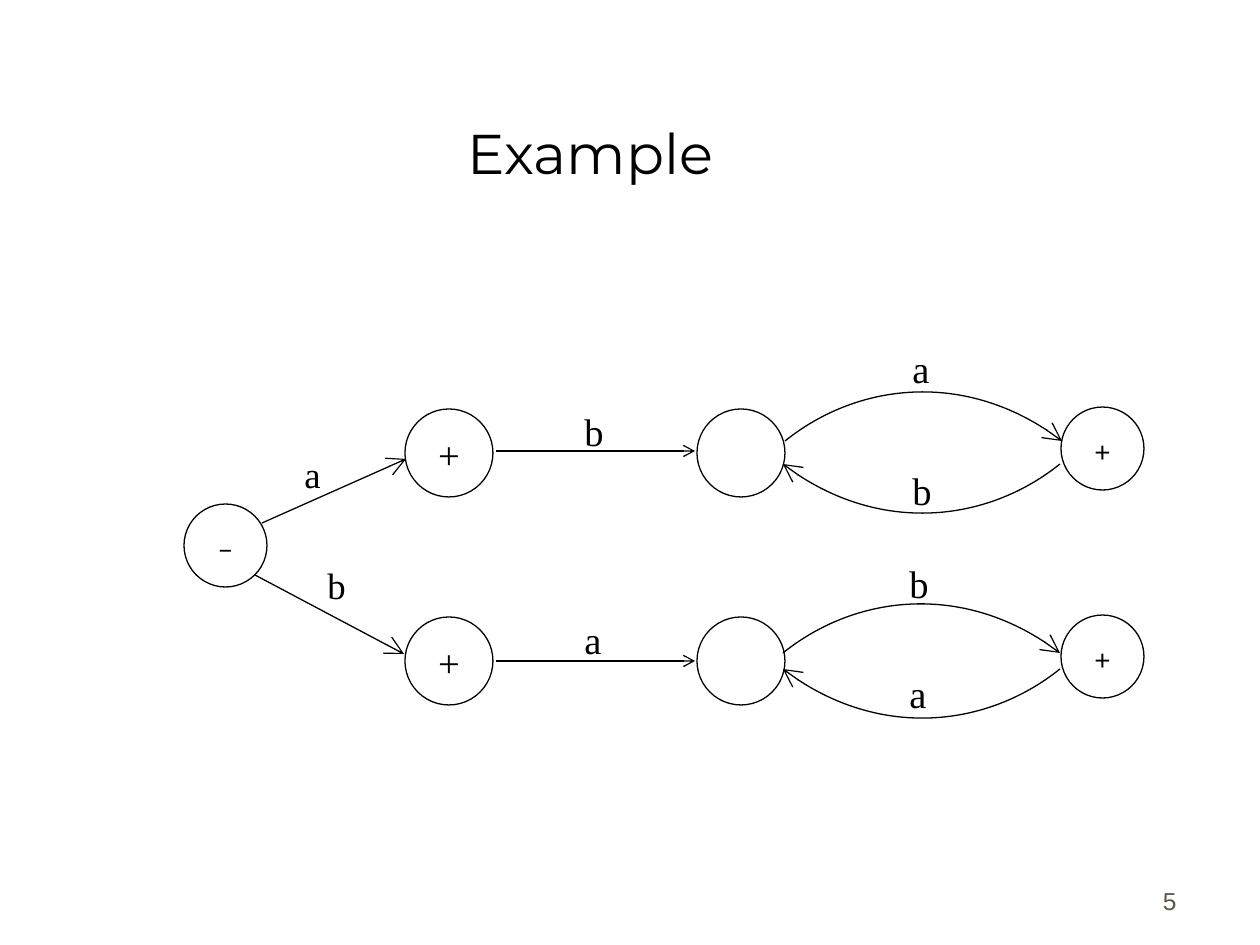
from lxml import etree
from pptx import Presentation
from pptx import util as u
from pptx.dml.color import RGBColor
from pptx.enum import shapes, text
from pptx.oxml.ns import qn

PX = 914400 / 126
BLACK = RGBColor(0x00, 0x00, 0x00)
WHITE = RGBColor(0xFF, 0xFF, 0xFF)
GREY = RGBColor(0x5E, 0x57, 0x4E)
SERIF, SANS = "Times New Roman", "Lato"
SMALL, LARGE = 83, 88  # circle diameters
LABEL_SIZE = 22

# Offsets are measured from the top left corner of the branch.
BRANCHES = [
    {"origin": (405, 409), "link": ("b", 42), "forth": (380, 32), "back": 55,
     "forth_label": ("a", 495, -70), "back_label": ("b", 495, 52)},
    {"origin": (405, 617), "link": ("a", 44), "forth": (378, 36), "back": 52,
     "forth_label": ("b", 492, -63), "back_label": ("a", 492, 47)},
]


def px(value):
    return u.Emu(round(value * PX))


def write(frame, words, size, font, color=BLACK, align=text.PP_ALIGN.LEFT):
    para = frame.paragraphs[0]
    para.alignment = align
    span = para.add_run()
    span.text = words
    span.font.size = u.Pt(size)
    span.font.name = font
    span.font.color.rgb = color


def add_text(page, box, words, size, font, color=BLACK,
             align=text.PP_ALIGN.LEFT, anchor=text.MSO_ANCHOR.TOP, inset=6):
    frame = page.shapes.add_textbox(*map(px, box)).text_frame
    frame.word_wrap = True
    frame.vertical_anchor = anchor
    frame.margin_top = frame.margin_bottom = px(inset)
    write(frame, words, size, font, color, align)


def add_label(page, left, top, words, size=LABEL_SIZE):
    add_text(page, (left, top, 90, 63), words, size, SERIF)


def add_state(page, left, top, diameter, sign="", size=16, font=SANS, drop=6):
    """Draw a circle; drop is the top inset that lowers its sign."""
    state = page.shapes.add_shape(shapes.MSO_SHAPE.OVAL, px(left), px(top),
                                  px(diameter), px(diameter))
    state.shadow.inherit = False
    state.fill.solid()
    state.fill.fore_color.rgb = WHITE
    state.line.color.rgb = BLACK
    state.line.width = u.Pt(0.75)
    if sign:
        frame = state.text_frame
        frame.margin_left = frame.margin_right = frame.margin_bottom = 0
        frame.margin_top = px(drop)
        frame.vertical_anchor = text.MSO_ANCHOR.MIDDLE
        write(frame, sign, size, font, align=text.PP_ALIGN.CENTER)


def style_arrow(arrow, head):
    arrow.line.color.rgb = BLACK
    arrow.line.width = u.Pt(0.75)
    line = arrow.element.spPr.find(qn("a:ln"))
    etree.SubElement(line, qn("a:tailEnd"), type="arrow", w=head, len=head)


def add_arrow(page, start, end, head="med"):
    arrow = page.shapes.add_connector(shapes.MSO_CONNECTOR.STRAIGHT,
                                      *map(px, (*start, *end)))
    style_arrow(arrow, head)
    etree.SubElement(arrow.element.spPr, qn("a:effectLst"))


def add_arc(page, left, top, way):
    """Draw a curved arrow: way 1 bends up to the right, -1 down to the left."""
    steps = [(71, -57), (185, -71), (277, 0)]
    points = [(px(left + way * dx), px(top + way * dy)) for dx, dy in steps]
    builder = page.shapes.build_freeform(px(left), px(top), scale=1.0)
    builder.add_line_segments(points, close=False)
    arc = builder.convert_to_shape()
    outline = arc.element.find(".//" + qn("a:path"))
    segments = outline.findall(qn("a:lnTo"))
    curve = etree.SubElement(outline, qn("a:cubicBezTo"))
    for segment in segments:
        curve.append(segment[0])
        outline.remove(segment)
    arc.fill.background()
    arc.shadow.inherit = False
    style_arrow(arc, "lg")


def add_branch(page, origin, link, forth, back, forth_label, back_label):
    """Draw one row: accepting state, middle state and a two-way loop."""
    left, top = origin
    link_name, link_top = link
    add_state(page, left, top, LARGE, "+", LABEL_SIZE, SERIF, 2)
    add_state(page, left + 292, top, LARGE)
    add_state(page, left + 656, top - 2, SMALL, "+")
    add_arrow(page, (left + 91, top + link_top), (left + 290, top + link_top))
    add_arc(page, left + forth[0], top + forth[1], 1)
    add_arc(page, left + 655, top + back, -1)
    add_label(page, left + 167, top - 7, link_name)
    for name, dx, dy in (forth_label, back_label):
        add_label(page, left + dx, top + dy, name)


def add_start(page, left, top):
    """Draw the start state with its arrows to both branches."""
    add_state(page, left, top, SMALL, "–")
    add_arrow(page, (left + 78, top + 19), (left + 222, top - 45), "lg")
    add_arrow(page, (left + 71, top + 71), (left + 220, top + 150), "lg")
    add_label(page, left + 108, top - 58, "a", 21)
    add_label(page, left + 131, top + 53, "b", 21)


def main():
    deck = Presentation()
    deck.slide_width, deck.slide_height = px(1260), px(945)
    page = deck.slides.add_slide(deck.slide_layouts[6])
    add_text(page, (55, 32, 1071, 157), "Example", 32, "Montserrat",
             align=text.PP_ALIGN.CENTER, anchor=text.MSO_ANCHOR.BOTTOM, inset=3)
    add_start(page, 184, 504)
    for branch in BRANCHES:
        add_branch(page, **branch)
    add_text(page, (927, 858, 262, 63), "5", 14, "Arial", GREY,
             text.PP_ALIGN.RIGHT, text.MSO_ANCHOR.BOTTOM)
    deck.save("out.pptx")


if __name__ == "__main__":
    main()
